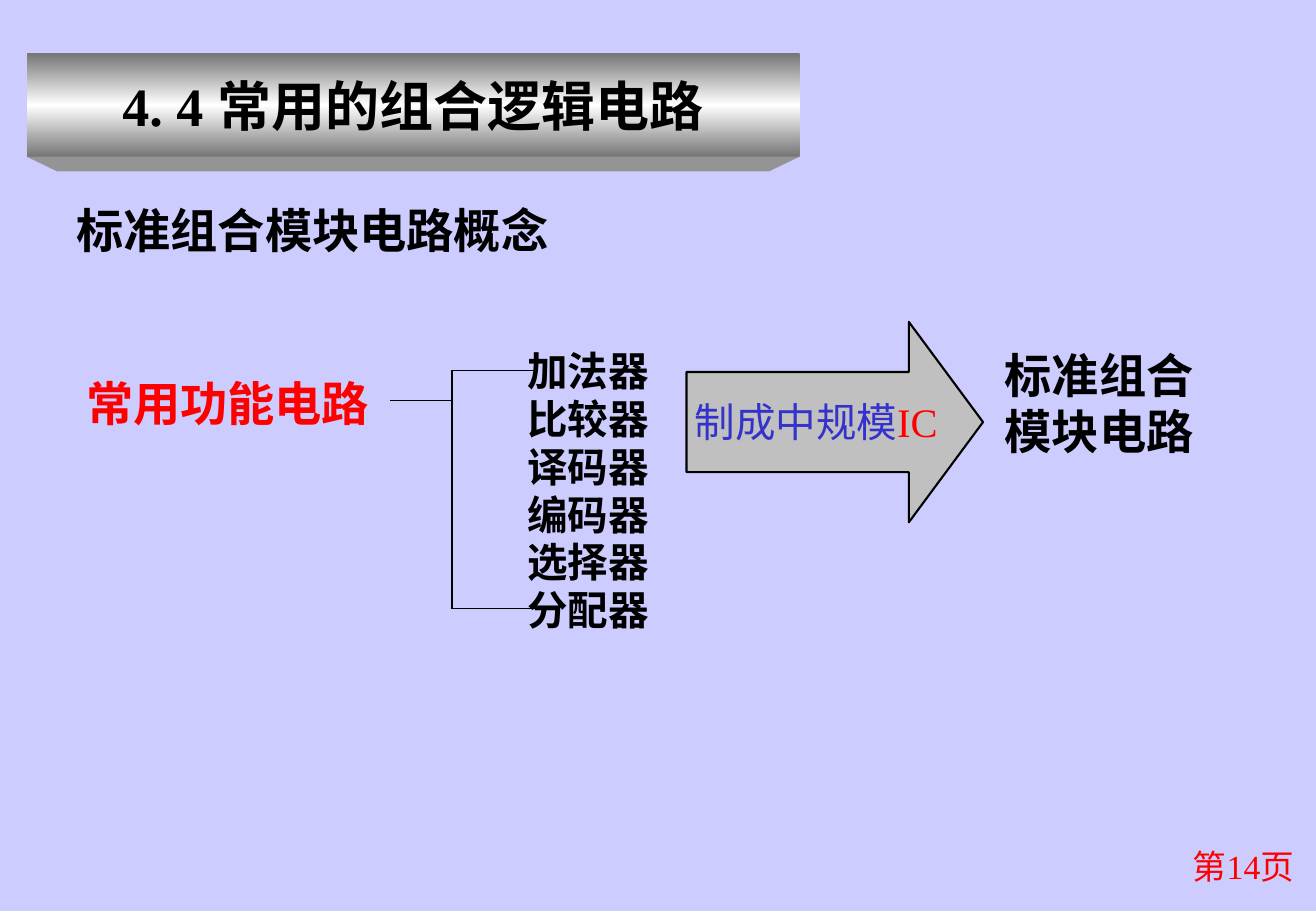
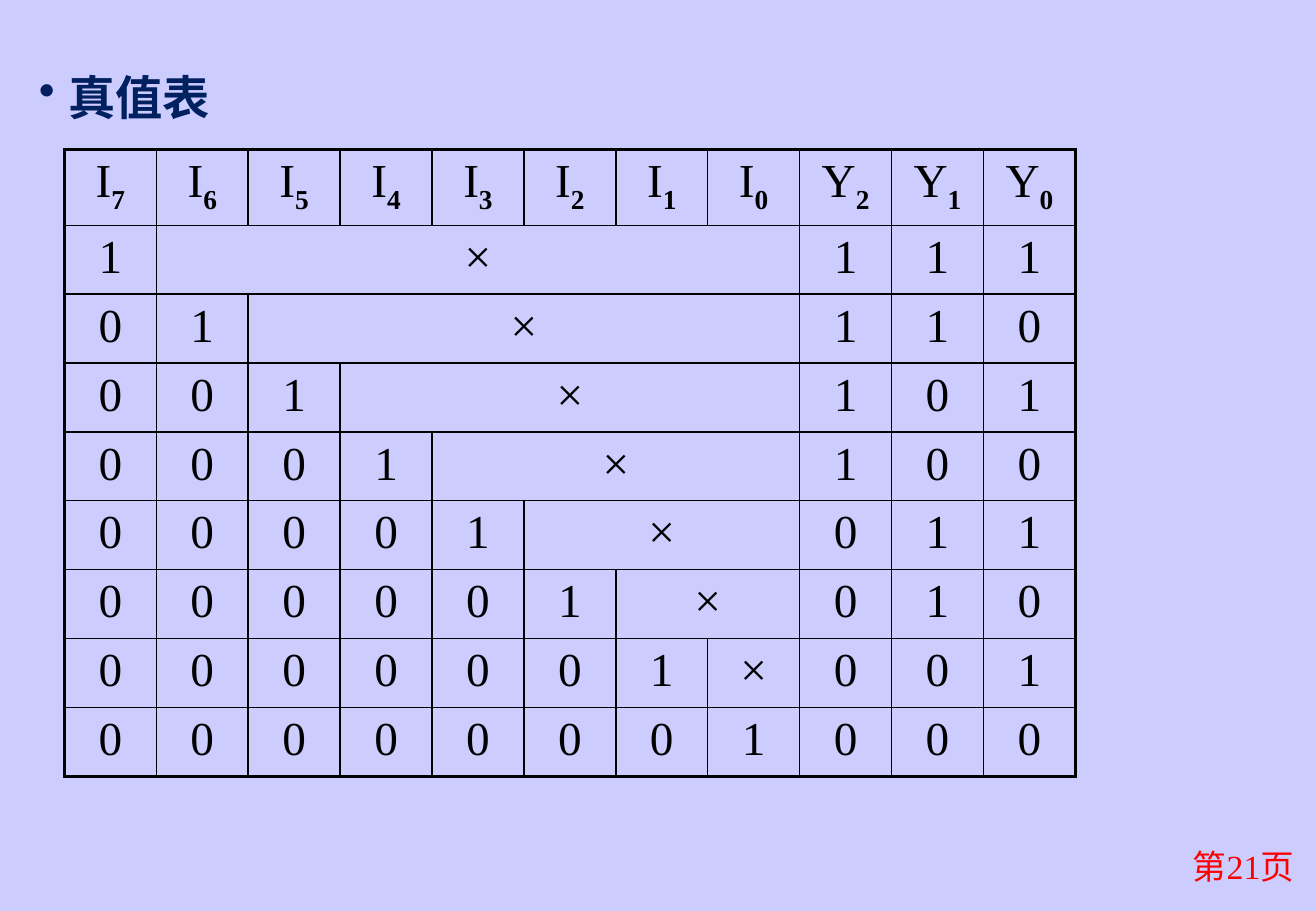
from lxml import etree
from pptx import Presentation
from pptx import util as u
from pptx.dml.color import RGBColor
from pptx.enum import shapes, text
from pptx.oxml import ns

Inches = u.Inches
LATIN, CHINESE = "Times New Roman", "Noto Sans CJK SC"
BLACK, RED, BLUE, NAVY = "000000", "FF0000", "3333CC", "002060"
GRAY, DARK_GRAY, SHADE, WHITE, LAVENDER = "C0C0C0", "767676", "949494", "FFFFFF", "CCCCFF"
LEFT, CENTER, RIGHT = text.PP_ALIGN.LEFT, text.PP_ALIGN.CENTER, text.PP_ALIGN.RIGHT


def color(value):
    return RGBColor.from_string(value)


def write(shape, lines, size, ink=BLACK, bold=False, align=LEFT, latin=LATIN):
    frame = shape.text_frame
    frame.word_wrap = True
    frame.auto_size = text.MSO_AUTO_SIZE.NONE
    frame.text = "\n".join(lines)
    for paragraph in frame.paragraphs:
        paragraph.alignment = align
        paragraph.line_spacing = u.Pt(round(size * 1.18, 1))
        font = paragraph.font
        font.name, font.size, font.bold = latin, u.Pt(size), bold
        font.color.rgb = color(ink)
        etree.SubElement(font._element, ns.qn("a:ea"), typeface=CHINESE)
    return frame


presentation = Presentation()
presentation.slide_width, presentation.slide_height = Inches(10.83), Inches(7.5)
background = presentation.slide_master.background.fill
background.solid()
background.fore_color.rgb = color(LAVENDER)

slides = []
for page, title_box in ((14, (0.22, 0.44, 6.36, 0.85)), (21, (0.22, 0.52, 2.35, 0.57))):
    slide = presentation.slides.add_slide(presentation.slide_layouts[5])
    title = slide.shapes.title
    title.left, title.top, title.width, title.height = map(Inches, title_box)
    footer = slide.shapes.add_textbox(*map(Inches, (8.49, 6.92, 2.26, 0.5)))
    write(footer, [f"第{page}页"], 20, RED, align=RIGHT)
    slides.append(slide)
concept, truth = slides

banner = concept.shapes.title
write(banner, ["4. 4 常用的组合逻辑电路"], 32, bold=True, align=CENTER)
banner.text_frame.vertical_anchor = text.MSO_ANCHOR.MIDDLE
banner.fill.gradient()
banner.fill.gradient_angle = 90
stops = banner._element.spPr.find(".//" + ns.qn("a:gsLst"))
for stop in list(stops):
    stops.remove(stop)
for position, value in ((0, DARK_GRAY), (50000, WHITE), (100000, DARK_GRAY)):
    stop = etree.SubElement(stops, ns.qn("a:gs"), pos=str(position))
    etree.SubElement(stop, ns.qn("a:srgbClr"), val=value)

builder = concept.shapes.build_freeform(Inches(0.22), Inches(1.29))
builder.add_line_segments(
    [(Inches(x), Inches(y)) for x, y in ((6.58, 1.29), (6.33, 1.41), (0.47, 1.41))])
edge = builder.convert_to_shape()
edge.shadow.inherit = False
edge.fill.solid()
edge.fill.fore_color.rgb = color(SHADE)
edge.line.fill.background()

devices = ["加法器", "比较器", "译码器", "编码器", "选择器", "分配器"]
for lines, box, size, ink, latin in (
    (["标准组合模块电路概念"], (0.53, 1.62, 5.51, 0.57), 28, BLACK, CHINESE),
    (["常用功能电路"], (0.61, 3.04, 2.68, 0.57), 28, RED, CHINESE),
    (devices, (4.24, 2.81, 2.28, 2.5), 24, BLACK, LATIN),
    (["标准组合模块电路"], (8.17, 2.81, 1.89, 1.03), 28, BLACK, CHINESE),
):
    label = concept.shapes.add_textbox(*map(Inches, box))
    write(label, lines, size, ink, bold=True, latin=latin)

for ends in ((3.72, 3.05, 4.41, 3.05), (3.72, 5.01, 4.41, 5.01),
             (3.72, 3.05, 3.72, 5.01), (3.21, 3.3, 3.72, 3.3)):
    line = concept.shapes.add_connector(shapes.MSO_CONNECTOR.STRAIGHT, *map(Inches, ends))
    line.line.color.rgb = color(BLACK)
    line.line.width = u.Pt(0.75)
    etree.SubElement(line._element.spPr, ns.qn("a:effectLst"))

arrow = concept.shapes.add_shape(
    shapes.MSO_SHAPE.RIGHT_ARROW, *map(Inches, (5.65, 2.65, 2.44, 1.65)))
arrow.adjustments[1] = 0.37
arrow.shadow.inherit = False
arrow.fill.solid()
arrow.fill.fore_color.rgb = color(GRAY)
arrow.line.color.rgb = color(BLACK)
arrow.line.width = u.Pt(1.25)
frame = write(arrow, ["制成中规模"], 24, BLUE, align=CENTER)
frame.word_wrap = False
frame.vertical_anchor = text.MSO_ANCHOR.MIDDLE
circuit = frame.paragraphs[0].add_run()
circuit.text = "IC"
circuit.font.color.rgb = color(RED)

heading = write(truth.shapes.title, ["真值表"], 28, NAVY, bold=True, latin=CHINESE)
heading.vertical_anchor = text.MSO_ANCHOR.TOP
paragraph = heading.paragraphs[0]
properties = paragraph._p.get_or_add_pPr()
properties.set("marL", str(Inches(0.24)))
properties.set("indent", str(-Inches(0.24)))
bullet = etree.Element(ns.qn("a:buChar"), char="•")
paragraph.font._element.addprevious(bullet)

INPUTS, OUTPUTS = 8, 3
ROWS, COLUMNS = INPUTS + 1, INPUTS + OUTPUTS
names = [f"I{i}" for i in reversed(range(INPUTS))] + [f"Y{i}" for i in reversed(range(OUTPUTS))]
grid = [names]
for i in range(INPUTS):
    ignored = ["×"] + [""] * INPUTS
    grid.append((["0"] * i + ["1"] + ignored)[:INPUTS] + list(f"{INPUTS - 1 - i:03b}"))

table = truth.shapes.add_table(
    ROWS, COLUMNS, *map(Inches, (0.53, 1.23, 8.32, 5.16))).table
table.first_row = table.horz_banding = False
for column in table.columns:
    column.width = Inches(8.32 / COLUMNS)
for r, row in enumerate(table.rows):
    row.height = Inches(0.567 if r else 0.625)
    for c, cell in enumerate(row.cells):
        outer = {"lnL": c == 0, "lnR": c == COLUMNS - 1, "lnT": r == 0, "lnB": r == ROWS - 1}
        for side, thick in outer.items():
            border = etree.SubElement(cell._tc.get_or_add_tcPr(), ns.qn(f"a:{side}"),
                                      w=str(u.Pt(2.25 if thick else 1)))
            fill = etree.SubElement(border, ns.qn("a:solidFill"))
            etree.SubElement(fill, ns.qn("a:srgbClr"), val=BLACK)
        cell.fill.background()
        paragraph = cell.text_frame.paragraphs[0]
        paragraph.alignment = CENTER
        font = paragraph.font
        font.name, font.size = LATIN, u.Pt(28)
        font.color.rgb = color(BLACK)
        value = grid[r][c]
        if value:
            paragraph.add_run().text = value[0]
        if value[1:]:
            subscript = paragraph.add_run()
            subscript.text = value[1:]
            subscript.font.bold = True
            subscript.font._element.set("baseline", "-25000")
for r in range(1, INPUTS - 1):
    table.cell(r, r).merge(table.cell(r, INPUTS - 1))

presentation.save("out.pptx")
